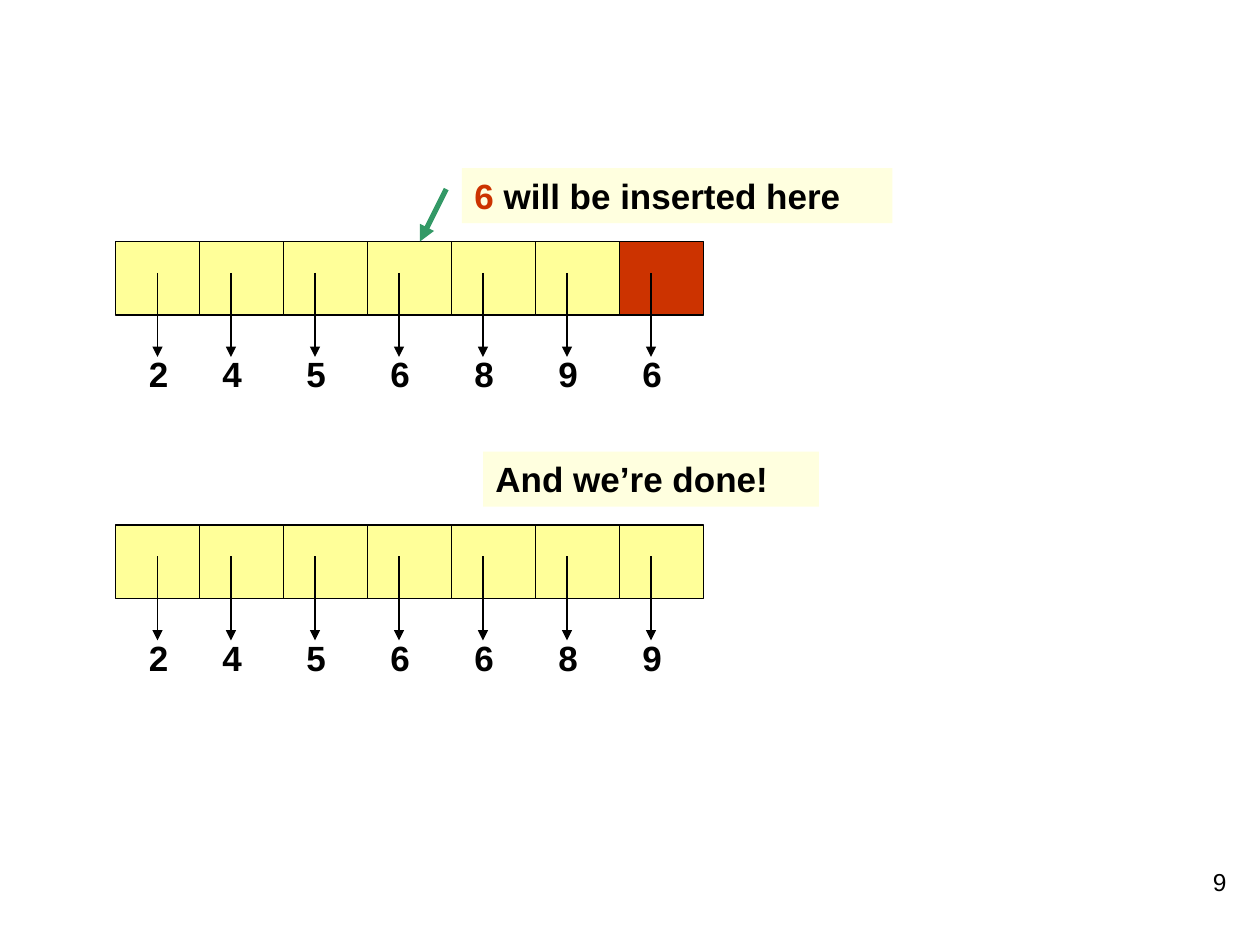
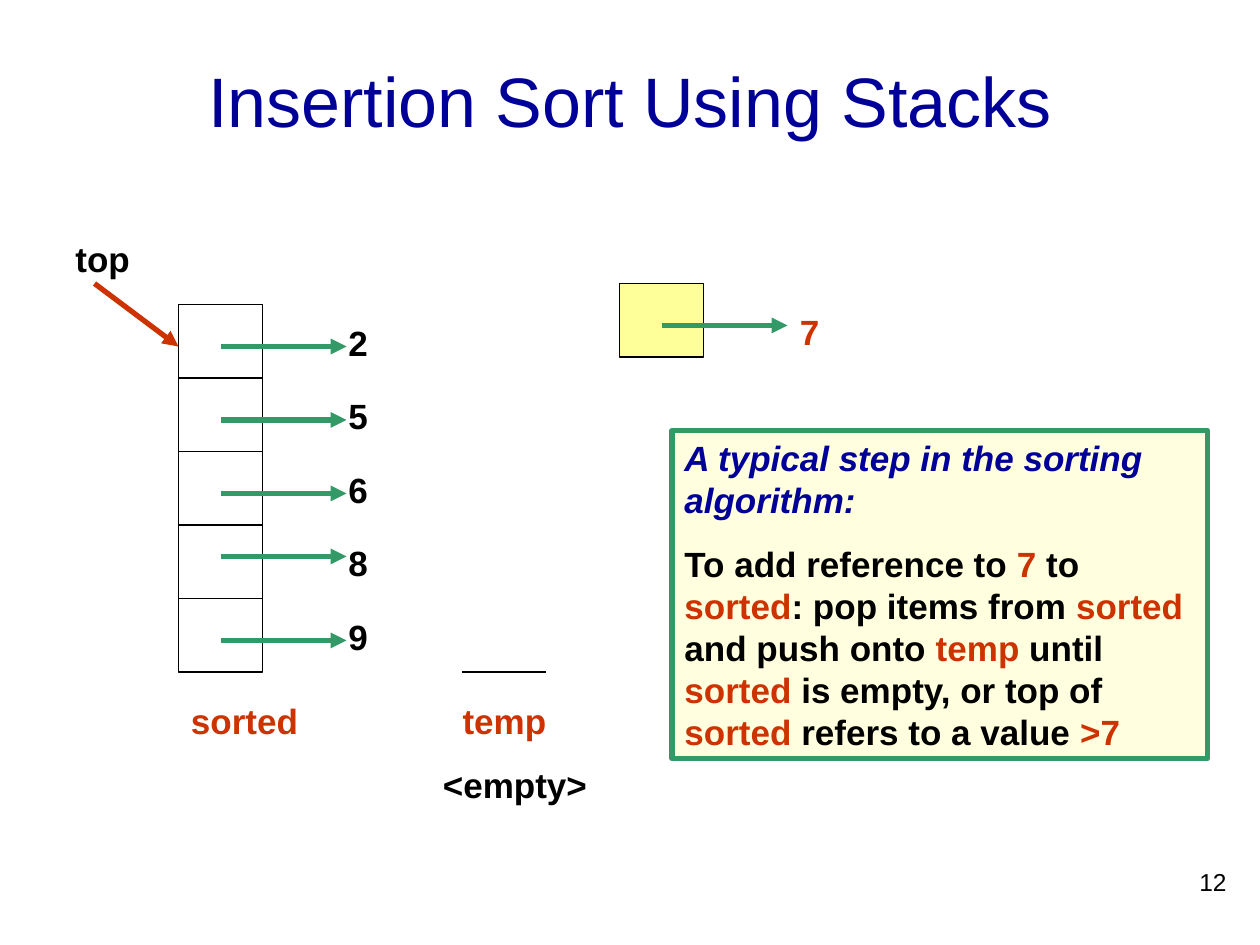
from lxml.etree import SubElement
from pptx import Presentation
from pptx.dml.color import RGBColor
from pptx.enum.shapes import MSO_CONNECTOR as Connector, MSO_SHAPE as Shape
from pptx.enum.text import MSO_ANCHOR as Anchor, MSO_AUTO_SIZE as AutoSize, PP_ALIGN as Align
from pptx.oxml.ns import qn
from pptx.util import Emu, Pt

EMU_PER_PX = 9525
FONT = "Arial"
COLORS = {"black": "000000", "red": "CC3300", "green": "339966", "blue": "000099",
          "yellow": "FFFF99", "cream": "FFFFDF"}
CELL_W, CELL_H = 64, 56
LABEL_W, LABEL_H = 40, 42
TITLE_BOX = (72, 16, 816, 120)
NUMBER_BOX = (744, 656, 200, 48)

# A paragraph is a list of (text, colour) runs.
ARRAYS = [
    {"top": 184, "values": "2456896", "red_cell": 6, "callout_box": (352, 128, 328, LABEL_H),
     "callout": [("6", "red"), (" will be inserted here", "black")]},
    {"top": 400, "values": "2456689", "red_cell": None, "callout_box": (368, 344, 256, LABEL_H),
     "callout": [("And we’re done!", "black")]},
]
ARRAY_LEFT = 88
INSERT_ARROW = (340, 144, 320, 184)

STACK_TITLE = "Insertion Sort Using Stacks"
STACK = [("2", 264), ("5", 320), ("6", 376), ("8", 424), ("9", 488)]  # value, arrow height
STACK_LEFT, STACK_TOP = 136, 232
STACK_LABELS = [
    ((600, 232, LABEL_W, LABEL_H), [[("7", "red")]]),
    ((48, 176, 80, LABEL_H), [[("top", "black")]]),
    ((136, 528, 120, LABEL_H), [[("sorted", "red")]]),
]
TEMP_BOX, TEMP_INDENT = (328, 528, 136, 90), 15
TEMP_LABEL = [[("temp", "red")], [("<empty>", "black")]]
STEP_BOX = (512, 328, 408, 250)
STEP = [
    [("A typical step in the sorting algorithm:", "blue")],
    [("To add reference to ", "black"), ("7", "red"), (" to ", "black"), ("sorted", "red"),
     (": pop items from ", "black"), ("sorted", "red"), (" and push onto ", "black"),
     ("temp", "red"), (" until ", "black"), ("sorted", "red"),
     (" is empty, or top of ", "black"), ("sorted", "red"),
     (" refers to a value ", "black"), (">7", "red")],
]


def px(length):
    return Emu(length * EMU_PER_PX)


def rgb(name):
    return RGBColor.from_string(COLORS[name])


def style(font, size, color, bold=False):
    font.name, font.size, font.bold = FONT, Pt(size), bold
    font.color.rgb = rgb(color)


def write(shape, paragraphs):
    """Fill a shape with bold coloured runs, spacing later paragraphs apart."""
    frame = shape.text_frame
    frame.word_wrap = True
    frame.auto_size = AutoSize.SHAPE_TO_FIT_TEXT
    frame.vertical_anchor = Anchor.TOP
    for index, runs in enumerate(paragraphs):
        para = frame.add_paragraph() if index else frame.paragraphs[0]
        para.alignment = Align.LEFT
        if index:
            para.space_before = Pt(12.5)
        for text, color in runs:
            span = para.add_run()
            span.text = text
            style(span.font, 20, color, bold=True)


def add_box(slide, box, fill=None, line=None, width=0.75):
    rect = slide.shapes.add_shape(Shape.RECTANGLE, *map(px, box))
    rect.shadow.inherit = False
    if fill:
        rect.fill.solid()
        rect.fill.fore_color.rgb = rgb(fill)
    else:
        rect.fill.background()
    if line:
        rect.line.color.rgb = rgb(line)
        rect.line.width = Pt(width)
    else:
        rect.line.fill.background()
    return rect


def add_cell(slide, left, top, fill=None):
    add_box(slide, (left, top, CELL_W, CELL_H), fill, "black")


def add_label(slide, box, paragraphs):
    label = slide.shapes.add_textbox(*map(px, box))
    write(label, paragraphs)
    return label


def add_line(slide, ends, color, width, arrow=True):
    line = slide.shapes.add_connector(Connector.STRAIGHT, *map(px, ends))
    line.line.color.rgb = rgb(color)
    line.line.width = Pt(width)
    if arrow:
        SubElement(line.line._get_or_add_ln(), qn("a:tailEnd"), type="triangle")
    SubElement(line._element.spPr, qn("a:effectLst"))


def add_slide_number(slide, number):
    box = slide.shapes.add_textbox(*map(px, NUMBER_BOX))
    box.text_frame.word_wrap = True
    para = box.text_frame.paragraphs[0]
    para.text = str(number)
    para.alignment = Align.RIGHT
    style(para.runs[0].font, 14, "black")


def add_title(slide, text):
    title = slide.shapes.title
    title.left, title.top, title.width, title.height = map(px, TITLE_BOX)
    frame = title.text_frame
    frame.text = text
    frame.auto_size = AutoSize.NONE
    frame.vertical_anchor = Anchor.MIDDLE
    frame.paragraphs[0].alignment = Align.CENTER
    style(frame.paragraphs[0].runs[0].font, 40, "blue")


def add_array(slide, array):
    top = array["top"]
    for index in range(len(array["values"])):
        fill = "red" if index == array["red_cell"] else "yellow"
        add_cell(slide, ARRAY_LEFT + index * CELL_W, top, fill)
    for index, value in enumerate(array["values"]):
        arrow_x = ARRAY_LEFT + index * CELL_W + (24 if index else 32)
        add_label(slide, (arrow_x - 16, top + 80, LABEL_W, LABEL_H), [[(value, "black")]])
        add_line(slide, (arrow_x, top + 24, arrow_x, top + 88), "black", 0.75)
    write(add_box(slide, array["callout_box"], "cream"), [array["callout"]])


def build_array_slide(deck):
    slide = deck.slides.add_slide(deck.slide_layouts.get_by_name("Blank"))
    for array in ARRAYS:
        add_array(slide, array)
    add_line(slide, INSERT_ARROW, "green", 3)
    add_slide_number(slide, 9)


def build_stack_slide(deck):
    slide = deck.slides.add_slide(deck.slide_layouts.get_by_name("Title Only"))
    add_title(slide, STACK_TITLE)
    for index in range(len(STACK)):
        add_cell(slide, STACK_LEFT, STACK_TOP + index * CELL_H)
    for index, (value, arrow_y) in enumerate(STACK):
        label_top = STACK_TOP + 8 + index * CELL_H
        add_label(slide, (256, label_top, LABEL_W, LABEL_H), [[(value, "black")]])
        add_line(slide, (168, arrow_y, 264, arrow_y), "green", 3)
    add_cell(slide, 472, 216, "yellow")
    add_line(slide, (504, 248, 600, 248), "green", 3)
    for box, paragraphs in STACK_LABELS:
        add_label(slide, box, paragraphs)
    add_line(slide, (72, 216, STACK_LEFT, 264), "red", 3)
    add_line(slide, (352, 512, 416, 512), "black", 0.75, arrow=False)
    temp = add_label(slide, TEMP_BOX, TEMP_LABEL)
    temp.text_frame.paragraphs[0]._p.get_or_add_pPr().set("marL", str(px(TEMP_INDENT)))
    step = add_box(slide, STEP_BOX, "cream", "green", 3)
    write(step, STEP)
    step.text_frame.paragraphs[0].runs[0].font.italic = True
    add_slide_number(slide, 12)


def main():
    deck = Presentation()
    deck.slide_width, deck.slide_height = px(960), px(720)
    build_array_slide(deck)
    build_stack_slide(deck)
    deck.save("out.pptx")


if __name__ == "__main__":
    main()
